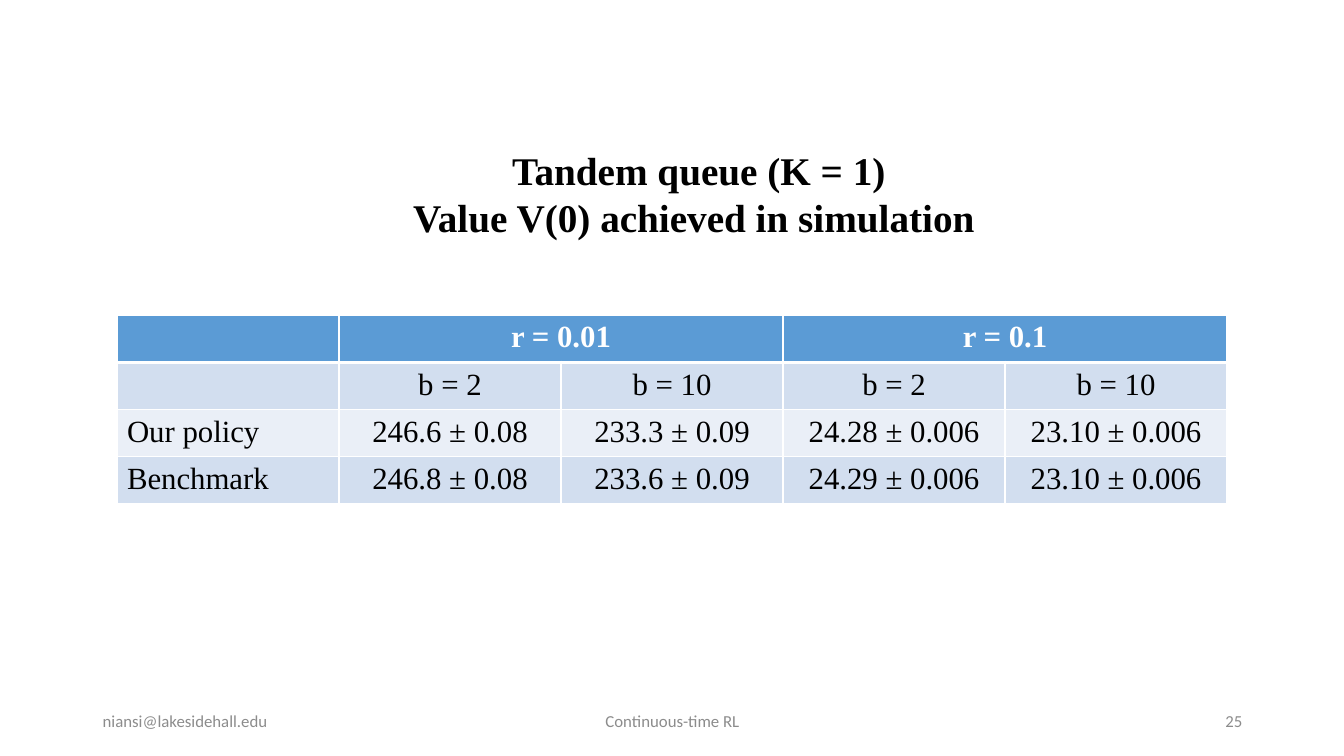
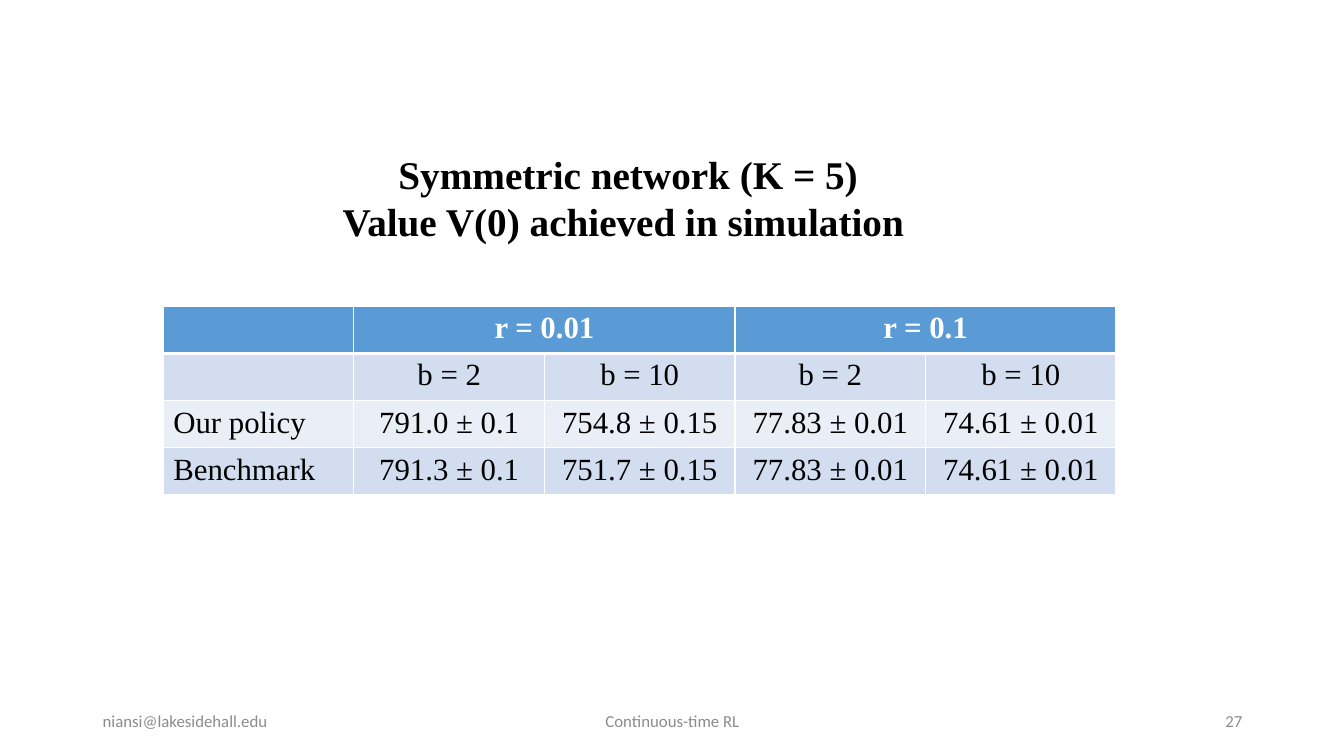
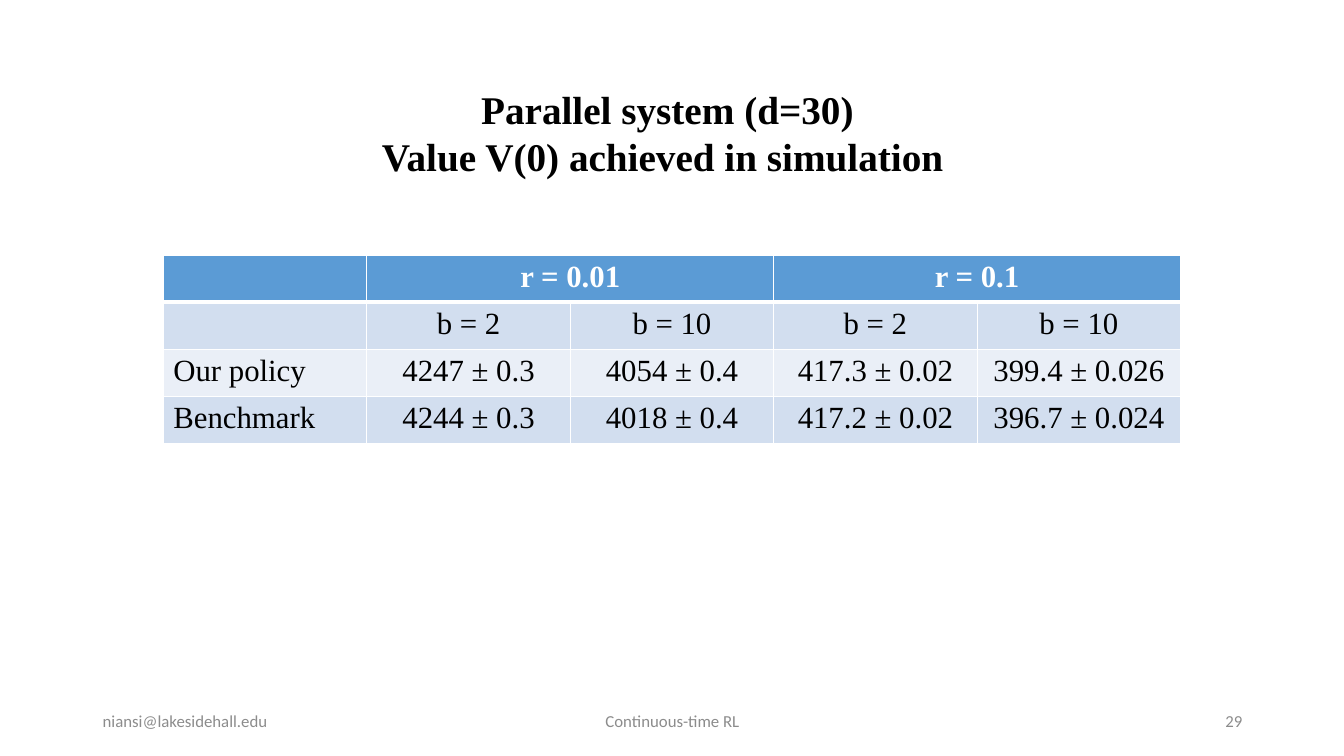
from dataclasses import dataclass

from lxml import etree
from pptx import Presentation
from pptx.dml.color import RGBColor
from pptx.enum.text import MSO_ANCHOR, MSO_AUTO_SIZE, PP_ALIGN
from pptx.oxml.ns import qn
from pptx.util import Inches, Pt

LEFT, CENTER, RIGHT = PP_ALIGN.LEFT, PP_ALIGN.CENTER, PP_ALIGN.RIGHT
TOP, MIDDLE = MSO_ANCHOR.TOP, MSO_ANCHOR.MIDDLE
NO_AUTOFIT = MSO_AUTO_SIZE.NONE
TITLE_ONLY = 5

WHITE, BLACK, GRAY = "FFFFFF", "000000", "8C8C8C"
HEADER_FILL, BAND_FILLS = "5B9BD5", ("EAEFF7", "D2DEEF")

SERIF = "Times New Roman"
TITLE_FONT = {"name": SERIF, "size": Pt(28), "bold": True}
HEADER_FONT = {"name": SERIF, "size": Pt(22), "bold": True}
BODY_FONT = {"name": SERIF, "size": Pt(22), "bold": False}
FOOTER_FONT = {"name": "Calibri", "size": Pt(12), "bold": False}

SUBTITLE = "Value V(0) achieved in simulation "
EMAIL, TOPIC = "niansi@lakesidehall.edu", "Continuous-time RL"
TABLE_HEIGHT, TITLE_HEIGHT = 1.87, 1.04
HEADER_ROWS = [
    ["", "r = 0.01", "", "r = 0.1", ""],
    ["", "b = 2", "b = 10", "b = 2", "b = 10"],
]


@dataclass
class Area:
    left: float
    top: float
    width: float
    height: float

    def lengths(self) -> list:
        return [Inches(v) for v in (self.left, self.top, self.width, self.height)]


@dataclass
class ResultPage:
    number: int
    system: str
    title_area: Area
    table_area: Area
    our_policy: list[str]
    benchmark: list[str]


PAGES = [
    ResultPage(
        25, "Tandem queue (K = 1)",
        Area(3.26, 1.4, 7.34, TITLE_HEIGHT), Area(1.16, 3.13, 11.01, TABLE_HEIGHT),
        ["246.6 ± 0.08", "233.3 ± 0.09", "24.28 ± 0.006", "23.10 ± 0.006"],
        ["246.8 ± 0.08", "233.6 ± 0.09", "24.29 ± 0.006", "23.10 ± 0.006"],
    ),
    ResultPage(
        27, "Symmetric network (K = 5)",
        Area(3.2, 1.44, 6.06, TITLE_HEIGHT), Area(1.62, 3.04, 9.45, TABLE_HEIGHT),
        ["791.0 ± 0.1", "754.8 ± 0.15", "77.83 ± 0.01", "74.61 ± 0.01"],
        ["791.3 ± 0.1", "751.7 ± 0.15", "77.83 ± 0.01", "74.61 ± 0.01"],
    ),
    ResultPage(
        29, "Parallel system (d=30)",
        Area(3.59, 0.8, 6.06, TITLE_HEIGHT), Area(1.62, 2.53, 10.09, TABLE_HEIGHT),
        ["4247 ± 0.3", "4054 ± 0.4", "417.3 ± 0.02", "399.4 ± 0.026"],
        ["4244 ± 0.3", "4018 ± 0.4", "417.2 ± 0.02", "396.7 ± 0.024"],
    ),
]


def rgb(color: str) -> RGBColor:
    return RGBColor.from_string(color)


def write(frame, lines: list[str], font: dict, color: str, align) -> None:
    """Fill a text frame with one formatted paragraph per line."""
    for index, line in enumerate(lines):
        para = frame.paragraphs[0] if index == 0 else frame.add_paragraph()
        para.alignment = align
        span = para.add_run()
        span.text = line
        for name, value in font.items():
            setattr(span.font, name, value)
        span.font.color.rgb = rgb(color)


def set_borders(cell, widths: dict[str, float]) -> None:
    """Draw white cell edges; they must come before the fill in the XML."""
    properties = cell._tc.get_or_add_tcPr()
    for index, (edge, width) in enumerate(widths.items()):
        line = etree.Element(qn(f"a:ln{edge}"), w=str(Pt(width)))
        fill = etree.SubElement(line, qn("a:solidFill"))
        etree.SubElement(fill, qn("a:srgbClr"), val=WHITE)
        properties.insert(index, line)


def add_title(page, result: ResultPage) -> None:
    title = page.shapes.title
    title.left, title.top, title.width, title.height = result.title_area.lengths()
    frame = title.text_frame
    frame.word_wrap, frame.auto_size, frame.vertical_anchor = True, NO_AUTOFIT, TOP
    write(frame, [result.system, SUBTITLE], TITLE_FONT, BLACK, CENTER)


def add_results(page, result: ResultPage) -> None:
    rows = HEADER_ROWS + [
        ["Our policy", *result.our_policy],
        ["Benchmark", *result.benchmark],
    ]
    area = result.table_area
    table = page.shapes.add_table(len(rows), len(rows[0]), *area.lengths()).table
    for column in table.columns:
        column.width = Inches(area.width / len(rows[0]))
    for row in table.rows:
        row.height = Inches(area.height / len(rows))

    for r, texts in enumerate(rows):
        header = r == 0
        for c, text in enumerate(texts):
            cell = table.cell(r, c)
            cell.fill.solid()
            cell.fill.fore_color.rgb = rgb(HEADER_FILL if header else BAND_FILLS[r % 2])
            set_borders(cell, {"L": 1, "R": 1, "T": 3 if r == 1 else 1, "B": 3 if header else 1})
            if text:
                font, color = (HEADER_FONT, WHITE) if header else (BODY_FONT, BLACK)
                write(cell.text_frame, [text], font, color, CENTER if c else LEFT)

    # Each rate heads two columns
    for c in (1, 3):
        table.cell(0, c).merge(table.cell(0, c + 1))


def add_footer(page, number: int) -> None:
    for text, left, width, align in (
        (TOPIC, 4.42, 4.5, CENTER),
        (str(number), 9.42, 3, RIGHT),
        (EMAIL, 0.92, 3, LEFT),
    ):
        box = page.shapes.add_textbox(*Area(left, 6.95, width, 0.4).lengths())
        box.text_frame.word_wrap = True
        box.text_frame.vertical_anchor = MIDDLE
        write(box.text_frame, [text], FOOTER_FONT, GRAY, align)


def main() -> None:
    deck = Presentation()
    deck.slide_width, deck.slide_height = Inches(13.33), Inches(7.5)
    for result in PAGES:
        page = deck.slides.add_slide(deck.slide_layouts[TITLE_ONLY])
        add_title(page, result)
        add_results(page, result)
        add_footer(page, result.number)
    deck.save("out.pptx")


if __name__ == "__main__":
    main()
